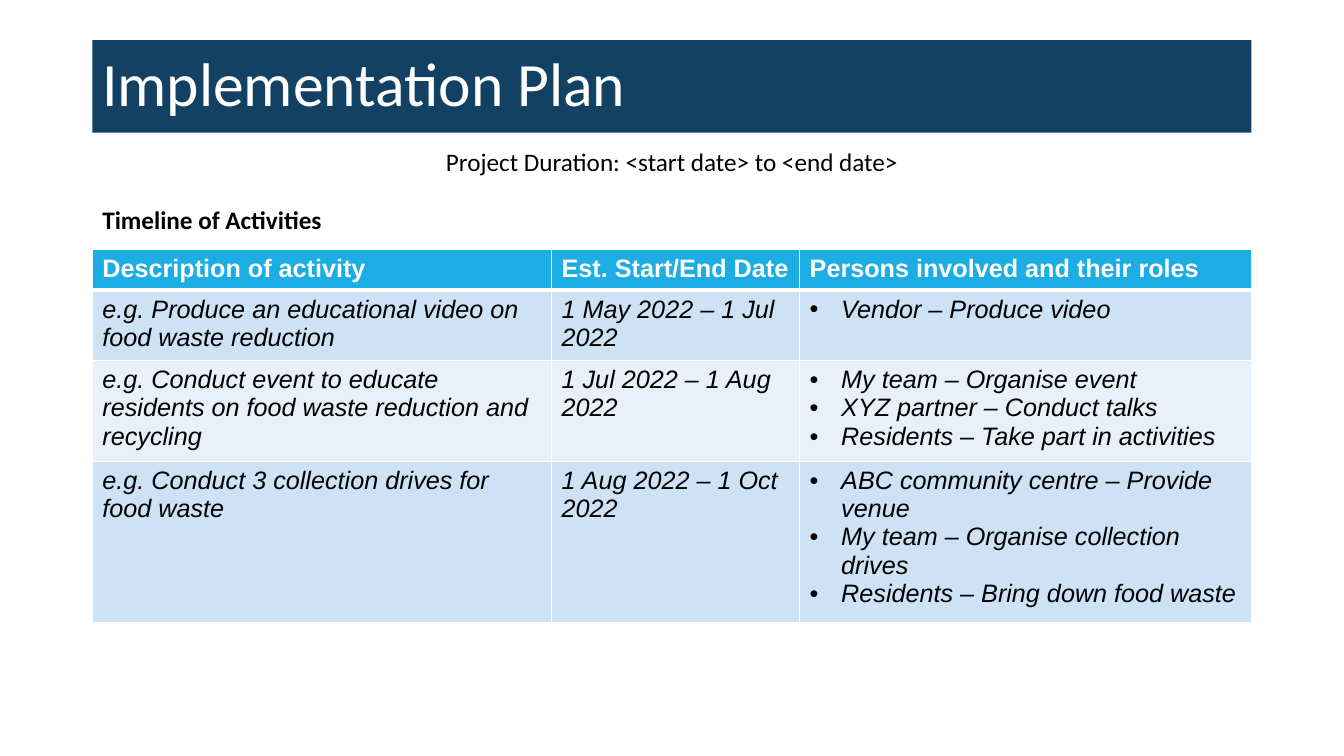
from dataclasses import dataclass

from lxml.etree import SubElement
from pptx import Presentation
from pptx.dml.color import RGBColor
from pptx.enum.shapes import MSO_SHAPE
from pptx.enum.text import MSO_ANCHOR, PP_ALIGN
from pptx.oxml.ns import qn
from pptx.util import Pt

WHITE = RGBColor(0xFF, 0xFF, 0xFF)
BLACK = RGBColor(0x00, 0x00, 0x00)
NAVY = RGBColor(0x13, 0x41, 0x63)
HEADER_BLUE = RGBColor(0x1C, 0xAD, 0xE4)
BAND_DARK = RGBColor(0xCD, 0xE3, 0xF5)
BAND_LIGHT = RGBColor(0xE8, 0xF1, 0xFA)

LEFT, WIDTH = 66, 828
COLUMN_WIDTHS = (328, 177.2, 322.8)
HEADER_HEIGHT = 27.4
BULLET_INDENT = 22.5

TITLE_FONT = {"name": "Calibri", "size": Pt(44), "bold": False}
DURATION_FONT = {"name": "Calibri", "size": Pt(18), "bold": False}
SUBTITLE_FONT = {"name": "Calibri", "size": Pt(18), "bold": True}
HEADER_FONT = {"name": "Arial", "size": Pt(18), "bold": True, "italic": False}
ACTIVITY_FONT = {"name": "Arial", "size": Pt(18), "bold": False, "italic": True}


@dataclass(frozen=True)
class Activity:
    description: str
    dates: str
    roles: tuple[str, ...]
    height: float


HEADINGS = ("Description of activity", "Est. Start/End Date", "Persons involved and their roles")
ACTIVITIES = (
    Activity(
        "e.g. Produce an educational video on food waste reduction",
        "1 May 2022 – 1 Jul 2022",
        ("Vendor – Produce video",),
        47.2,
    ),
    Activity(
        "e.g. Conduct event to educate residents on food waste reduction and recycling",
        "1 Jul 2022 – 1 Aug 2022",
        ("My team – Organise event", "XYZ partner – Conduct talks",
         "Residents – Take part in activities"),
        67.6,
    ),
    Activity(
        "e.g. Conduct 3 collection drives for food waste",
        "1 Aug 2022 – 1 Oct 2022",
        ("ABC community centre – Provide venue", "My team – Organise collection drives",
         "Residents – Bring down food waste"),
        108,
    ),
)


def write(paragraph, text: str, font_format: dict, color: RGBColor) -> None:
    run = paragraph.add_run()
    run.text = text
    for attribute, value in font_format.items():
        setattr(run.font, attribute, value)
    run.font.color.rgb = color


def add_bullet(paragraph) -> None:
    properties = paragraph._p.get_or_add_pPr()
    properties.set("marL", str(Pt(BULLET_INDENT)))
    properties.set("indent", str(-Pt(BULLET_INDENT)))
    SubElement(properties, qn("a:buFont"), typeface="Arial")
    SubElement(properties, qn("a:buChar"), char="•")


def add_borders(cell, top: float, bottom: float) -> None:
    properties = cell._tc.get_or_add_tcPr()
    for side, weight in (("L", 1), ("R", 1), ("T", top), ("B", bottom)):
        border = SubElement(properties, qn(f"a:ln{side}"), w=str(Pt(weight)))
        SubElement(SubElement(border, qn("a:solidFill")), qn("a:srgbClr"), val=str(WHITE))


def fill_cell(cell, lines: tuple[str, ...], font_format: dict, color: RGBColor,
              background: RGBColor, bulleted: bool = False) -> None:
    for index, line in enumerate(lines):
        frame = cell.text_frame
        paragraph = frame.paragraphs[0] if index == 0 else frame.add_paragraph()
        if bulleted:
            add_bullet(paragraph)
        write(paragraph, line, font_format, color)
    cell.fill.solid()
    cell.fill.fore_color.rgb = background


def add_title(slide) -> None:
    banner = slide.shapes.add_shape(
        MSO_SHAPE.RECTANGLE, Pt(LEFT), Pt(28.6), Pt(WIDTH), Pt(66.24))
    banner.shadow.inherit = False
    banner.fill.solid()
    banner.fill.fore_color.rgb = NAVY
    banner.line.fill.background()
    banner.text_frame.vertical_anchor = MSO_ANCHOR.MIDDLE
    paragraph = banner.text_frame.paragraphs[0]
    paragraph.alignment = PP_ALIGN.LEFT
    paragraph.line_spacing = 0.9
    write(paragraph, "Implementation Plan", TITLE_FONT, WHITE)


def add_label(slide, text: str, top: float, width: float, height: float,
              font_format: dict, alignment: PP_ALIGN, line_spacing: float) -> None:
    label = slide.shapes.add_textbox(Pt(LEFT), Pt(top), Pt(width), Pt(height))
    label.text_frame.word_wrap = True
    paragraph = label.text_frame.paragraphs[0]
    paragraph.alignment = alignment
    paragraph.line_spacing = line_spacing
    write(paragraph, text, font_format, BLACK)


def add_timeline(slide) -> None:
    heights = (HEADER_HEIGHT, *(activity.height for activity in ACTIVITIES))
    timeline = slide.shapes.add_table(
        len(heights), len(COLUMN_WIDTHS), Pt(LEFT), Pt(178.4), Pt(WIDTH), Pt(sum(heights))).table
    for column, width in zip(timeline.columns, COLUMN_WIDTHS):
        column.width = Pt(width)
    for index, (row, height) in enumerate(zip(timeline.rows, heights)):
        row.height = Pt(height)
        for cell in row.cells:
            add_borders(cell, top=3 if index == 1 else 1, bottom=3 if index == 0 else 1)

    for cell, heading in zip(timeline.rows[0].cells, HEADINGS):
        fill_cell(cell, (heading,), HEADER_FONT, WHITE, HEADER_BLUE)
    for index, activity in enumerate(ACTIVITIES):
        band = BAND_LIGHT if index % 2 else BAND_DARK
        description, dates, roles = timeline.rows[index + 1].cells
        fill_cell(description, (activity.description,), ACTIVITY_FONT, BLACK, band)
        fill_cell(dates, (activity.dates,), ACTIVITY_FONT, BLACK, band)
        fill_cell(roles, activity.roles, ACTIVITY_FONT, BLACK, band, bulleted=True)


def main() -> None:
    presentation = Presentation()
    presentation.slide_width, presentation.slide_height = Pt(960), Pt(540)
    slide = presentation.slides.add_slide(presentation.slide_layouts[6])
    add_title(slide)
    add_label(slide, "Project Duration: <start date> to <end date>", 103.68, WIDTH, 26.64,
              DURATION_FONT, PP_ALIGN.CENTER, 0.9)
    add_timeline(slide)
    add_label(slide, "Timeline of Activities", 142.56, 622.8, 38.88,
              SUBTITLE_FONT, PP_ALIGN.LEFT, 1.0)
    presentation.save("out.pptx")


if __name__ == "__main__":
    main()
